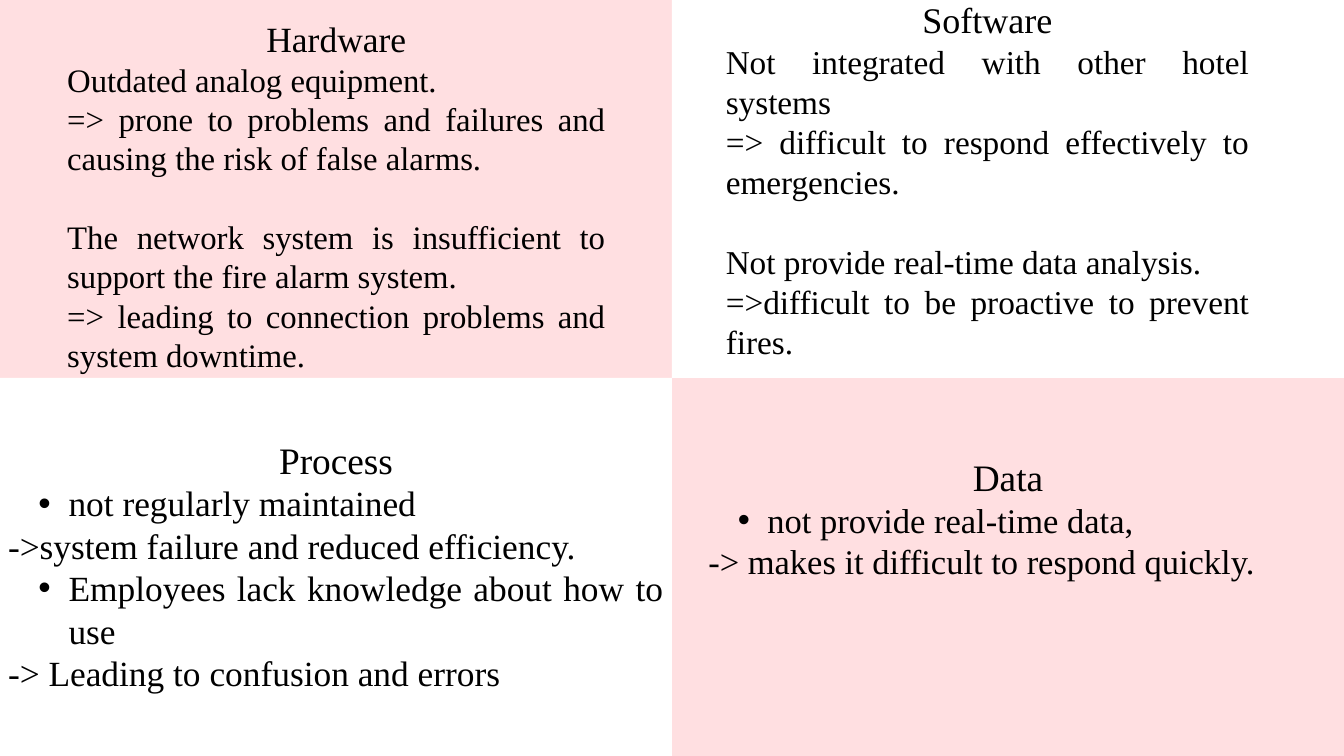
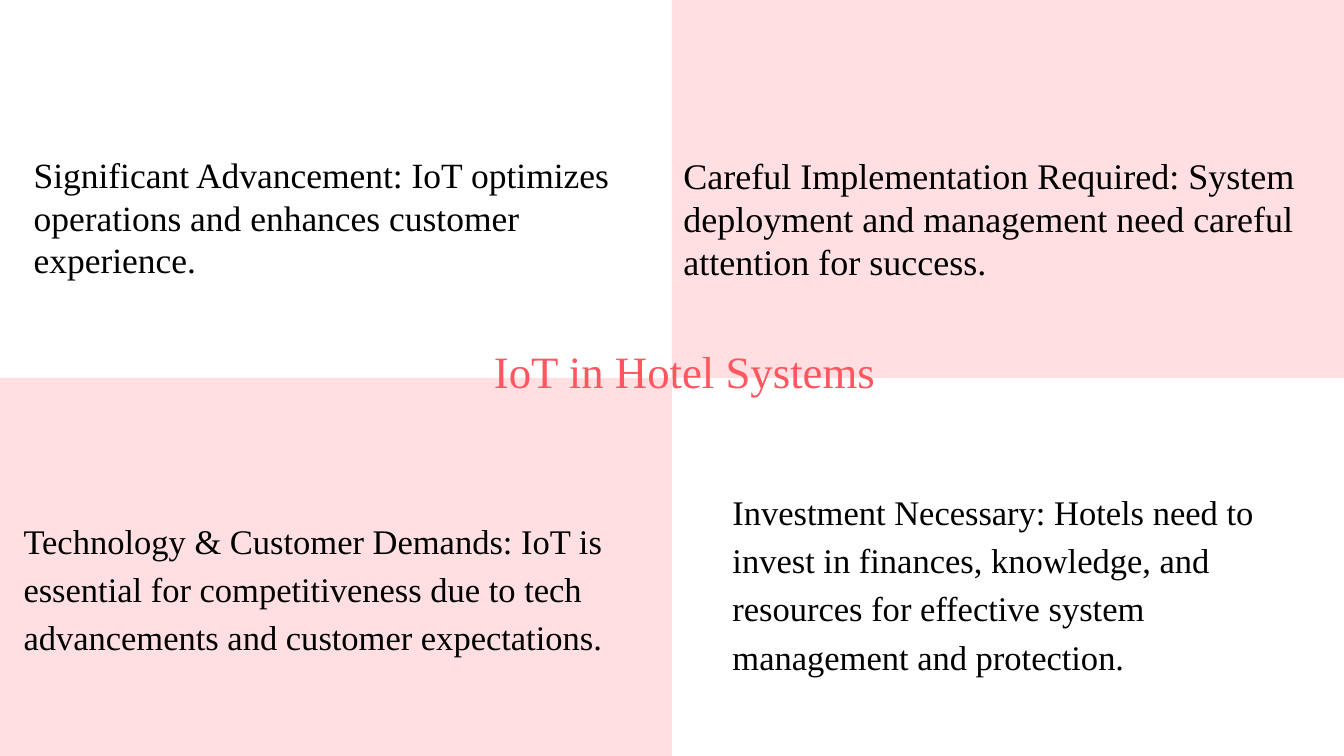
from lxml import etree
from pptx import Presentation
from pptx.dml.color import RGBColor
from pptx.enum.shapes import MSO_SHAPE as Shape
from pptx.enum.text import MSO_ANCHOR as Anchor, MSO_AUTO_SIZE as Fit, PP_ALIGN as Align
from pptx.oxml.ns import qn
from pptx.util import Inches, Pt

COLORS = {"pink": "FFDFE1", "white": "FFFFFF", "text": "000000", "title": "FF5660"}
FONT = "Times New Roman"
WIDE, HIGH = 20, 11.25
LEADING = 1.2

# Kinds of body line
PLAIN, GAP, BULLET = "plain", "gap", "bullet"

# Box, heading size, body size, heading, body lines
CAUSES = [
    ((1, 0.25, 8.01, 5.38), 38, 35.1, "Hardware", [
        (PLAIN, "Outdated analog equipment."),
        (PLAIN, "=> prone to problems and failures and causing the risk of false alarms."),
        (GAP, "The network system is insufficient to support the fire alarm system."),
        (PLAIN, "=> leading to connection problems and system downtime."),
    ]),
    ((10.8, -0.03, 7.79, 5.46), 38.6, 35.7, "Software", [
        (PLAIN, "Not integrated with other hotel systems"),
        (PLAIN, "=> difficult to respond effectively to emergencies."),
        (GAP, "Not provide real-time data analysis."),
        (PLAIN, "=>difficult to be proactive to prevent fires."),
    ]),
    ((0.12, 6.5, 9.76, 3.86), 40, 37.9, "Process", [
        (BULLET, "not regularly maintained"),
        (PLAIN, "->system failure and reduced efficiency."),
        (BULLET, "Employees lack knowledge about how to use"),
        (PLAIN, "-> Leading to confusion and errors"),
    ]),
    ((10.54, 6.76, 8.92, 1.97), 40, 37, "Data", [
        (BULLET, "not provide real-time data,"),
        (PLAIN, "-> makes it difficult to respond quickly."),
    ]),
]

# Box, size, leading, text
POINTS = [
    ((0.5, 2.28, 9, 2.54), 38, LEADING,
     "Significant Advancement: IoT optimizes operations and enhances customer experience."),
    ((10.17, 2.28, 9.66, 1.99), 38.6, LEADING,
     "Careful Implementation Required: System deployment and management need careful "
     "attention for success."),
    ((0.35, 7.63, 9.99, 2.21), 37, 1.4,
     "Technology & Customer Demands: IoT is essential for competitiveness due to tech "
     "advancements and customer expectations."),
    ((10.9, 7.2, 8.54, 2.93), 37, 1.4,
     "Investment Necessary: Hotels need to invest in finances, knowledge, and resources "
     "for effective system management and protection."),
]


def rgb(name):
    return RGBColor.from_string(COLORS[name])


def add_checker(slide, back, tile):
    """Fill the slide, then lay tiles on its lower left and upper right quarters."""
    slide.background.fill.solid()
    slide.background.fill.fore_color.rgb = rgb(back)
    half_w, half_h = WIDE / 2, HIGH / 2
    for left, top in ((0, half_h), (half_w, 0)):
        quarter = slide.shapes.add_shape(
            Shape.RECTANGLE, *map(Inches, (left, top, half_w, half_h)))
        quarter.shadow.inherit = False
        quarter.fill.solid()
        quarter.fill.fore_color.rgb = rgb(tile)
        quarter.line.fill.background()


def set_frame(frame):
    frame.margin_left = frame.margin_right = 0
    frame.margin_top = frame.margin_bottom = 0
    frame.vertical_anchor = Anchor.TOP
    frame.word_wrap = True
    frame.auto_size = Fit.SHAPE_TO_FIT_TEXT


def add_box(slide, box):
    frame = slide.shapes.add_textbox(*map(Inches, box)).text_frame
    set_frame(frame)
    return frame


def set_para(para, text, size, align=Align.LEFT, leading=LEADING, color="text"):
    para.text = text
    para.alignment = align
    para.line_spacing = Pt(size * leading)
    for run in para.runs:
        run.font.name = FONT
        run.font.size = Pt(size)
        run.font.color.rgb = rgb(color)


def add_bullet(para, size):
    """Hang a bullet with an indent that grows with the text size."""
    step = Inches(round(size * 0.0118, 2))
    props = para._p.get_or_add_pPr()
    props.set("marL", str(2 * step))
    props.set("indent", str(-step))
    etree.SubElement(props, qn("a:buFont"), typeface="Arial")
    etree.SubElement(props, qn("a:buChar"), char="•")


def add_cause(slide, box, head_size, size, head, lines):
    frame = add_box(slide, box)
    set_para(frame.paragraphs[0], head, head_size, Align.CENTER)
    for kind, text in lines:
        para = frame.add_paragraph()
        if kind == BULLET:
            para.level = 1
            add_bullet(para, size)
        set_para(para, text, size, Align.JUSTIFY)
        if kind == GAP:
            para.space_before = Pt(size * LEADING)


def add_point(slide, box, size, leading, text):
    set_para(add_box(slide, box).paragraphs[0], text, size, leading=leading)


def set_title(slide, text, box, size):
    """Place the title and bring it in front of the tiles."""
    title = slide.shapes.title
    title.left, title.top, title.width, title.height = map(Inches, box)
    set_frame(title.text_frame)
    set_para(title.text_frame.paragraphs[0], text, size, color="title")
    slide.shapes.element.append(title.element)


def main():
    deck = Presentation()
    deck.slide_width, deck.slide_height = Inches(WIDE), Inches(HIGH)
    title_only, blank = deck.slide_layouts[5], deck.slide_layouts[6]

    causes = deck.slides.add_slide(blank)
    add_checker(causes, "pink", "white")
    for cause in CAUSES:
        add_cause(causes, *cause)

    points = deck.slides.add_slide(title_only)
    add_checker(points, "white", "pink")
    for point in POINTS:
        add_point(points, *point)
    set_title(points, "IoT in Hotel Systems", (7.35, 5.12, 5.97, 0.9), 48)

    deck.save("out.pptx")


if __name__ == "__main__":
    main()
